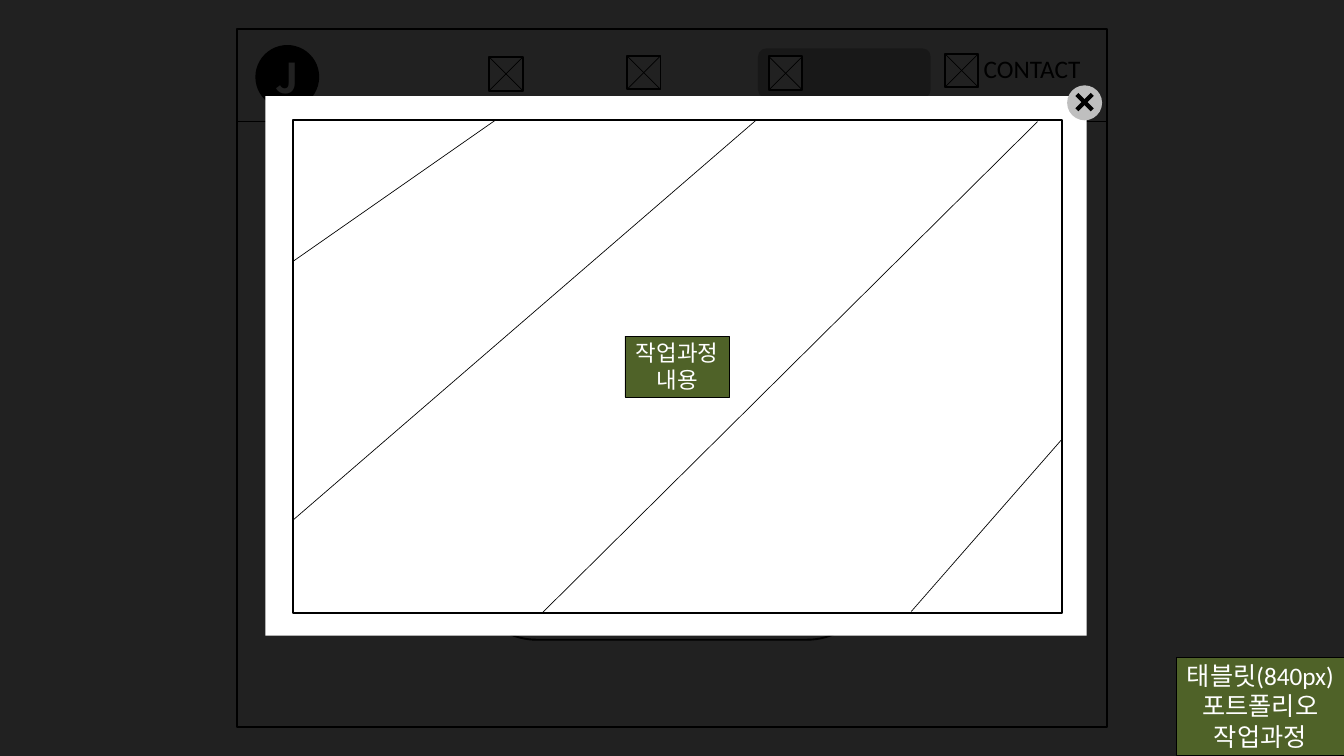
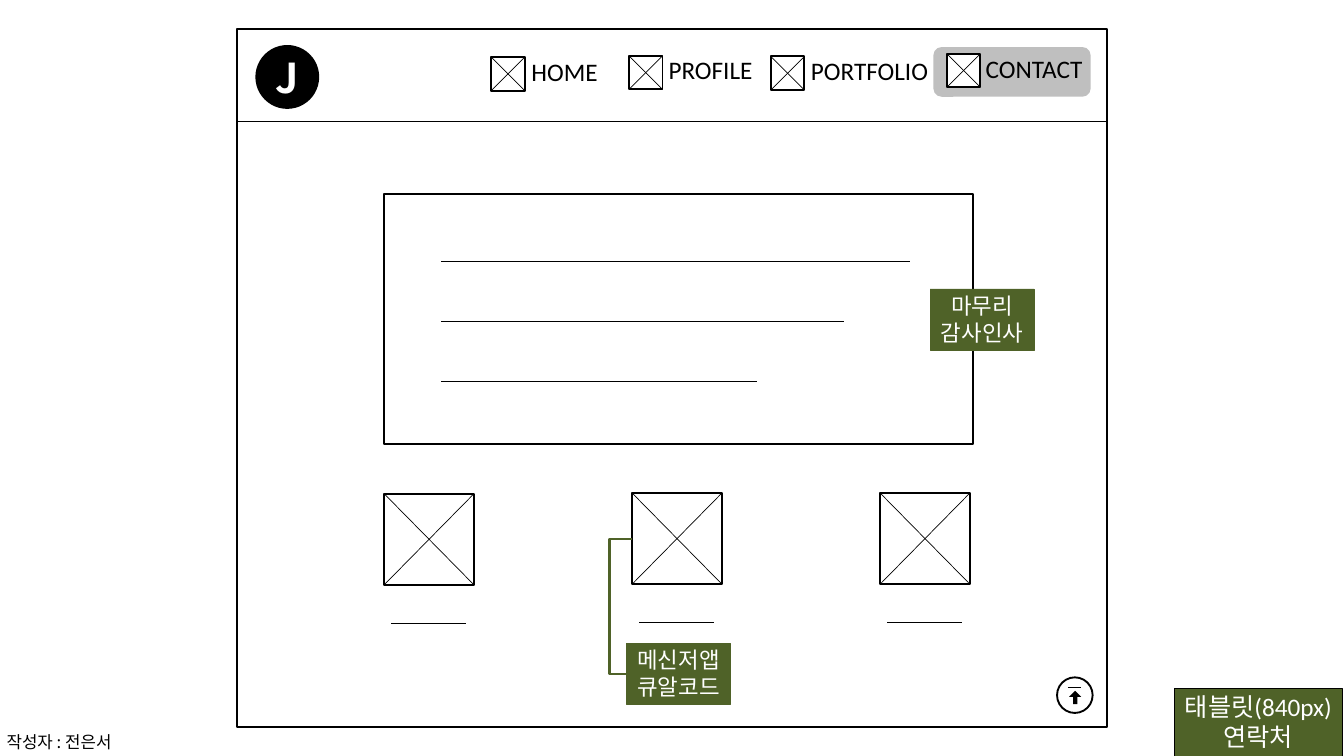
"""Builds two tablet wireframe slides: the portfolio work pop-up and the contact page."""
import pptx
import pptx.util
import pptx.dml.color
import pptx.enum.shapes
import pptx.enum.text
import pptx.oxml
import pptx.oxml.ns
import lxml.etree

COLS, ROWS = 20, 11.25
COLORS = {"ink": "000000", "paper": "FFFFFF", "grey": "BFBFBF", "note": "4F6228"}
LATIN, KOREAN = "Calibri", "Noto Sans CJK KR"
THIN, BOLD = 0.75, 2

AUTHOR = "작성자 : 전은서"
FRAME = (3.53, 0.43, 12.94, 10.39)
HEADER_ROW = 1.81
LOGO = (3.8, 0.67, 0.95, 0.95)
ICON = 0.5
MENU = [("HOME", 7.31, 0.85, (7.81, 0.79, 1.2, 0.56)),
        ("PROFILE", 9.36, 0.83, (9.85, 0.76, 1.46, 0.56)),
        ("PORTFOLIO", 11.47, 0.84, (11.97, 0.77, 1.96, 0.56)),
        ("CONTACT", 14.09, 0.8, (14.57, 0.74, 1.65, 0.56))]

WORK = {
    "tag": ["태블릿(840px)", "포트폴리오", "작업과정"],
    "tag_at": (17.51, 9.78, 2.49, 1.46),
    "active": (11.28, 0.72, 2.57, 0.74),
    "menu_shift": -0.03,
    "labels": ["CONTACT"],
    "card": (6.98, 2.49, 6.04, 7.03),
    "popup": (3.95, 1.43, 12.22, 8.03),
    "close": (15.88, 1.27, 0.52, 0.52),
    "screen": (4.36, 1.79, 11.44, 7.33),
    "hatching": [(7.37, 1.79, 4.36, 3.89), (11.25, 1.79, 4.36, 7.74),
                 (15.44, 1.81, 8.07, 9.12), (15.8, 6.54, 13.56, 9.1)],
    "note": (["작업과정", "내용"], 9.3, 5),
}
CONTACT = {
    "tag": ["태블릿(840px)", "연락처"],
    "tag_at": (17.48, 10.24, 2.49, 1.01),
    "active": (13.89, 0.7, 2.34, 0.74),
    "labels": [name for name, *_ in MENU],
    "message": (5.72, 2.89, 8.76, 3.72),
    "message_lines": [6.97, 5.99, 4.69],
    "code_rows": [7.35, 7.34, 7.34],
    "thanks": (["마무리", "감사인사"], 13.84, 4.3),
    "messenger": (["메신저앱", "큐알코드"], 9.32, 9.57),
    "top_button": (15.73, 10.08, 0.53, 0.53),
}
NOTE_W, NOTE_H = 1.55, 0.91
CODE_X, CODE_STEP, CODE_W, CODE_H = 5.72, 3.69, 1.33, 1.35

SHAPE = pptx.enum.shapes.MSO_SHAPE
CONNECTOR = pptx.enum.shapes.MSO_CONNECTOR
CENTER = pptx.enum.text.PP_ALIGN.CENTER
LEFT = pptx.enum.text.PP_ALIGN.LEFT
TOP = pptx.enum.text.MSO_ANCHOR.TOP
MIDDLE = pptx.enum.text.MSO_ANCHOR.MIDDLE

prs = pptx.Presentation()
prs.slide_width = pptx.util.Inches(COLS)
prs.slide_height = pptx.util.Inches(ROWS)


def grid(*cells):
    return [round(cell * prs.slide_width / COLS) for cell in cells]


def rgb(name):
    return pptx.dml.color.RGBColor.from_string(COLORS[name])


def write(tf, lines, size=27, font=LATIN, color="ink", bold=False,
          align=LEFT, anchor=TOP, grow=True):
    tf.word_wrap = not grow
    tf.vertical_anchor = anchor
    if grow:
        tf.auto_size = pptx.enum.text.MSO_AUTO_SIZE.SHAPE_TO_FIT_TEXT
    for i, line in enumerate(lines):
        p = tf.add_paragraph() if i else tf.paragraphs[0]
        p.alignment = align
        r = p.add_run()
        r.text = line
        r.font.name, r.font.size, r.font.bold = font, pptx.util.Pt(size), bold
        r.font.color.rgb = rgb(color)


def shape(s, at, kind=SHAPE.RECTANGLE, fill=None, line=None, width=BOLD):
    sp = s.shapes.add_shape(kind, *grid(*at))
    sp.shadow.inherit = False
    if fill:
        sp.fill.solid()
        sp.fill.fore_color.rgb = rgb(fill)
    else:
        sp.fill.background()
    if line:
        sp.line.color.rgb = rgb(line)
        sp.line.width = pptx.util.Pt(width)
    else:
        sp.line.fill.background()
    return sp


def stroke(s, ends, width=THIN, color="ink", kind=CONNECTOR.STRAIGHT):
    c = s.shapes.add_connector(kind, *grid(*ends))
    c.line.color.rgb = rgb(color)
    c.line.width = pptx.util.Pt(width)
    lxml.etree.SubElement(c._element.spPr, pptx.oxml.ns.qn("a:effectLst"))
    return c


def cross(s, x, y, w, h, width=THIN):
    stroke(s, (x, y + h, x + w, y), width)
    stroke(s, (x + w, y + h, x, y), width)


def image_box(s, x, y, w, h):
    shape(s, (x, y, w, h), fill="paper", line="ink")
    cross(s, x, y, w, h)


def label(s, lines, at, size, line):
    sp = shape(s, at, fill="note", line=line, width=THIN)
    write(sp.text_frame, lines, size=size, color="paper", align=CENTER)


def note(s, lines, x, y, line="note"):
    label(s, lines, (x, y, NOTE_W, NOTE_H), 24, line)


def text_box(s, text, at, **style):
    write(s.shapes.add_textbox(*grid(*at)).text_frame, [text], **style)


def page(active, labels, menu_shift=0):
    s = prs.slides.add_slide(prs.slide_layouts[6])
    shape(s, FRAME, line="ink")
    stroke(s, (FRAME[0], HEADER_ROW, FRAME[0] + FRAME[2], HEADER_ROW))
    logo = shape(s, LOGO, SHAPE.OVAL, fill="ink")
    write(logo.text_frame, ["J"], size=44, font=KOREAN, color="paper", bold=True,
          align=CENTER, anchor=MIDDLE, grow=False)
    shape(s, active, SHAPE.ROUNDED_RECTANGLE, fill="grey")
    for name, x, y, (left, *rest) in MENU:
        image_box(s, x + menu_shift, y, ICON, ICON)
        if name in labels:
            text_box(s, name, (left + menu_shift, *rest))
    return s


def work_slide():
    s = page(WORK["active"], WORK["labels"], WORK["menu_shift"])
    shape(s, WORK["card"], SHAPE.ROUNDED_RECTANGLE, fill="paper", line="ink")
    shade = shape(s, (0, 0, COLS, ROWS), fill="ink")
    color = shade._element.spPr.find(".//" + pptx.oxml.ns.qn("a:srgbClr"))
    lxml.etree.SubElement(color, pptx.oxml.ns.qn("a:alpha"), val="87000")
    label(s, WORK["tag"], WORK["tag_at"], 27, "ink")
    shape(s, WORK["popup"], fill="paper")
    shape(s, WORK["close"], SHAPE.OVAL, fill="grey")
    x, y, w, h = WORK["close"]
    arm = 0.23
    cross(s, x + (w - arm) / 2, y + (h - arm) / 2 - 0.01, arm, arm, 4.5)
    shape(s, WORK["screen"], line="ink")
    for ends in WORK["hatching"]:
        stroke(s, ends)
    note(s, *WORK["note"], line="ink")


def contact_slide():
    s = page(CONTACT["active"], CONTACT["labels"])
    text_box(s, AUTHOR, (0, 10.84, 1.9, 0.4), size=18, font=KOREAN)
    label(s, CONTACT["tag"], CONTACT["tag_at"], 27, "ink")
    for i, y in enumerate(CONTACT["code_rows"]):
        x = CODE_X + i * CODE_STEP
        image_box(s, x, y, CODE_W, CODE_H)
        stroke(s, (x + 0.1, y + 1.92, x + 1.21, y + 1.92))
    shape(s, CONTACT["message"], line="ink")
    x, y = CONTACT["message"][:2]
    for i, length in enumerate(CONTACT["message_lines"]):
        row = y + 1 + i * 0.89
        stroke(s, (x + 0.85, row, x + 0.85 + length, row))
    note(s, *CONTACT["thanks"])
    note(s, *CONTACT["messenger"])

    x, y, w, h = CONTACT["top_button"]
    shape(s, (x, y, w, h), SHAPE.OVAL, line="ink")
    arrow = shape(s, (x + 0.18, y + 0.2, 0.18, 0.2), SHAPE.UP_ARROW, fill="ink")
    arrow.adjustments[0], arrow.adjustments[1] = 0.36, 0.5
    stroke(s, (x + 0.16, y + 0.15, x + 0.36, y + 0.15), 1)

    code_x, code_y = CODE_X + CODE_STEP, CONTACT["code_rows"][1] + CODE_H / 2
    note_x, note_y = CONTACT["messenger"][1], CONTACT["messenger"][2] + NOTE_H / 2
    elbow = stroke(s, (code_x, code_y, note_x, note_y), 2.25, "note", CONNECTOR.ELBOW)
    bend = round(100000 * (code_x - 9.07) / (code_x - note_x))
    guides = elbow._element.spPr.find(".//" + pptx.oxml.ns.qn("a:avLst"))
    lxml.etree.SubElement(guides, pptx.oxml.ns.qn("a:gd"), name="adj1", fmla=f"val {bend}")


def main():
    work_slide()
    contact_slide()
    prs.save("out.pptx")


if __name__ == "__main__":
    main()
